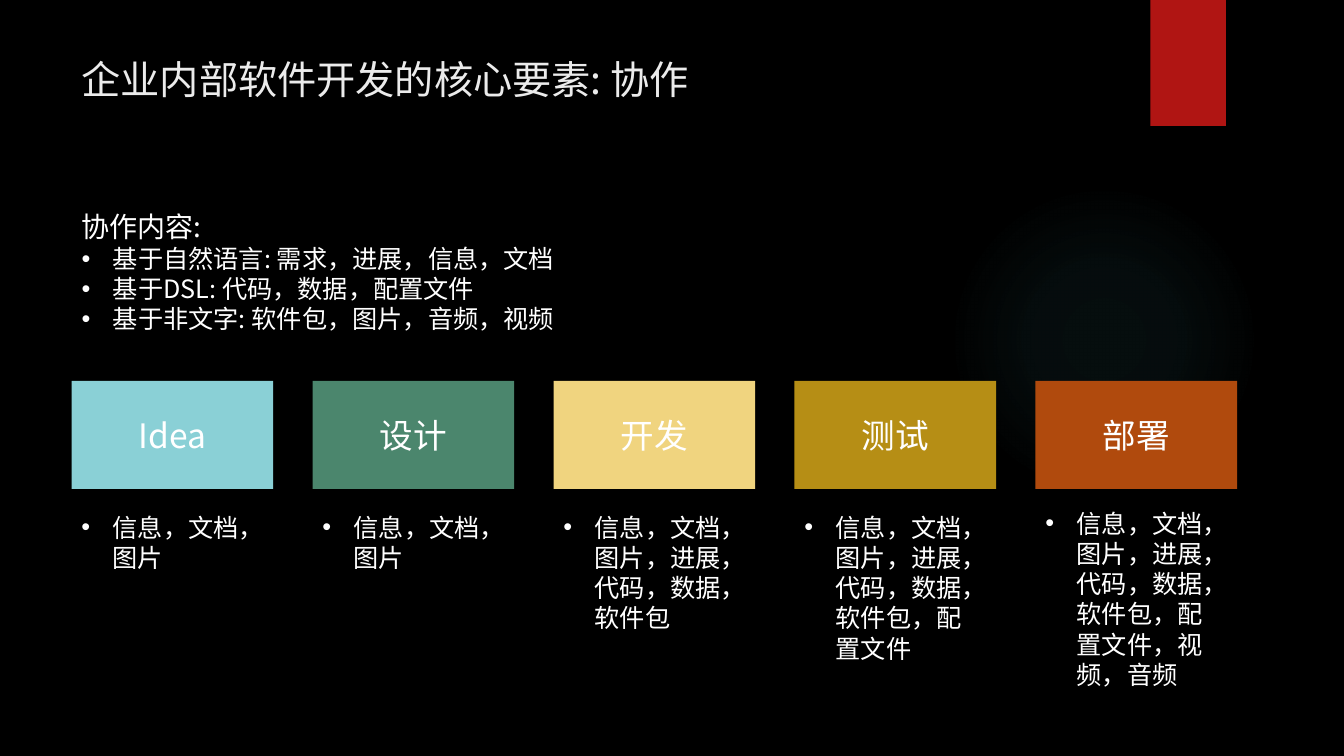
from pptx import Presentation
from pptx.dml.color import RGBColor
from pptx.enum.shapes import MSO_SHAPE
from pptx.enum.text import MSO_ANCHOR, MSO_AUTO_SIZE, PP_ALIGN
from pptx.oxml import parse_xml
from pptx.oxml.ns import nsdecls, qn
from pptx.util import Inches, Pt

FONT = "Noto Sans CJK SC"
COLORS = {
    "back": "000000", "title": "EBEBEB", "text": "FFFFFF",
    "tab": "B01513", "glow": "50B9C1",
    "idea": "8AD0D6", "design": "4B866D", "code": "F0D47F",
    "test": "B68E15", "ship": "B04A0D",
}
TOPICS = [
    "基于自然语言: 需求，进展，信息，文档",
    "基于DSL: 代码，数据，配置文件",
    "基于非文字: 软件包，图片，音频，视频",
]
# Label, colour, items, top and height of the item list
STAGES = [
    ("Idea", "idea", "信息，文档，图片", 5.03, 0.71),
    ("设计", "design", "信息，文档，图片", 5.03, 0.71),
    ("开发", "code", "信息，文档，图片，进展，代码，数据，软件包", 5.03, 1.31),
    ("测试", "test", "信息，文档，图片，进展，代码，数据，软件包，配置文件",
     5.03, 1.62),
    ("部署", "ship",
     "信息，文档，图片，进展，代码，数据，软件包，配置文件，视频，音频",
     4.99, 1.92),
]
LEFT, STEP, WIDTH = 0.71, 2.39, 2


def color(name):
    return RGBColor.from_string(COLORS[name])


def place(shape, left, top, width, height):
    shape.left, shape.top = Inches(left), Inches(top)
    shape.width, shape.height = Inches(width), Inches(height)


def style(para, text, size, tone="text", align=PP_ALIGN.LEFT, bullet=False):
    """Fill one paragraph and set its bullet, spacing and font."""
    para.text = text
    para.alignment = align
    para.space_before = Pt(0)
    props = para._p.get_or_add_pPr()
    indent = Inches(0.31) if bullet else 0
    props.set("marL", str(indent))
    props.set("indent", str(-indent))
    if bullet:
        props.append(parse_xml(f'<a:buFont {nsdecls("a")} typeface="Arial"/>'))
        props.append(parse_xml(f'<a:buChar {nsdecls("a")} char="•"/>'))
    else:
        props.append(parse_xml(f'<a:buNone {nsdecls("a")}/>'))
    font = para.font
    font.size, font.name = Pt(size), FONT
    font.color.rgb = color(tone)
    east = parse_xml(f'<a:ea {nsdecls("a")} typeface="{FONT}"/>')
    props.find(qn("a:defRPr")).append(east)


def frame(shape, anchor=MSO_ANCHOR.TOP, size=MSO_AUTO_SIZE.NONE):
    area = shape.text_frame
    area.word_wrap = True
    area.auto_size = size
    area.vertical_anchor = anchor
    return area


def block(slide, kind, tone, *spot):
    shape = slide.shapes.add_shape(kind, *map(Inches, spot))
    shape.shadow.inherit = False
    shape.fill.solid()
    shape.fill.fore_color.rgb = color(tone)
    shape.line.fill.background()
    return shape


def glow(slide):
    shape = block(slide, MSO_SHAPE.OVAL, "glow", 9.41, 1.83, 3.08, 3.08)
    stops = "".join(
        f'<a:gs pos="{pos * 1000}"><a:srgbClr val="{COLORS["glow"]}">'
        f'<a:alpha val="{alpha * 1000}"/></a:srgbClr></a:gs>'
        for pos, alpha in [(0, 7), (36, 6), (69, 0)])
    fill = parse_xml(
        f'<a:gradFill {nsdecls("a")}><a:gsLst>{stops}</a:gsLst>'
        '<a:path path="circle"><a:fillToRect l="50000" t="50000" '
        'r="50000" b="50000"/></a:path></a:gradFill>')
    props = shape._element.spPr
    props.replace(props.find(qn("a:solidFill")), fill)


def stage(slide, left, label, tone, items, top, height):
    box = block(slide, MSO_SHAPE.RECTANGLE, tone, left, 3.78, WIDTH, 1.07)
    area = frame(box, MSO_ANCHOR.MIDDLE)
    style(area.paragraphs[0], label, 24, align=PP_ALIGN.CENTER)
    note = slide.shapes.add_textbox(
        *map(Inches, (left, top, WIDTH, height)))
    area = frame(note, size=MSO_AUTO_SIZE.SHAPE_TO_FIT_TEXT)
    style(area.paragraphs[0], items, 18, bullet=True)


def main():
    deck = Presentation()
    deck.slide_width, deck.slide_height = Inches(13.33), Inches(7.5)
    slide = deck.slides.add_slide(deck.slide_layouts[1])
    slide.background.fill.solid()
    slide.background.fill.fore_color.rgb = color("back")

    # Backdrop
    glow(slide)
    block(slide, MSO_SHAPE.RECTANGLE, "tab", 11.41, 0, 0.75, 1.25)

    # Title
    title = slide.shapes.title
    place(title, LEFT, 0.5, 10.62, 1.53)
    style(frame(title).paragraphs[0], "企业内部软件开发的核心要素: 协作",
          28, "title")

    # Topics
    body = slide.placeholders[1]
    place(body, LEFT, 2.03, 5.99, 1.35)
    area = frame(body, size=MSO_AUTO_SIZE.SHAPE_TO_FIT_TEXT)
    style(area.paragraphs[0], "协作内容:", 20)
    for topic in TOPICS:
        style(area.add_paragraph(), topic, 18, bullet=True)

    # Stages
    for index, data in enumerate(STAGES):
        stage(slide, LEFT + index * STEP, *data)

    deck.save("out.pptx")


if __name__ == "__main__":
    main()
